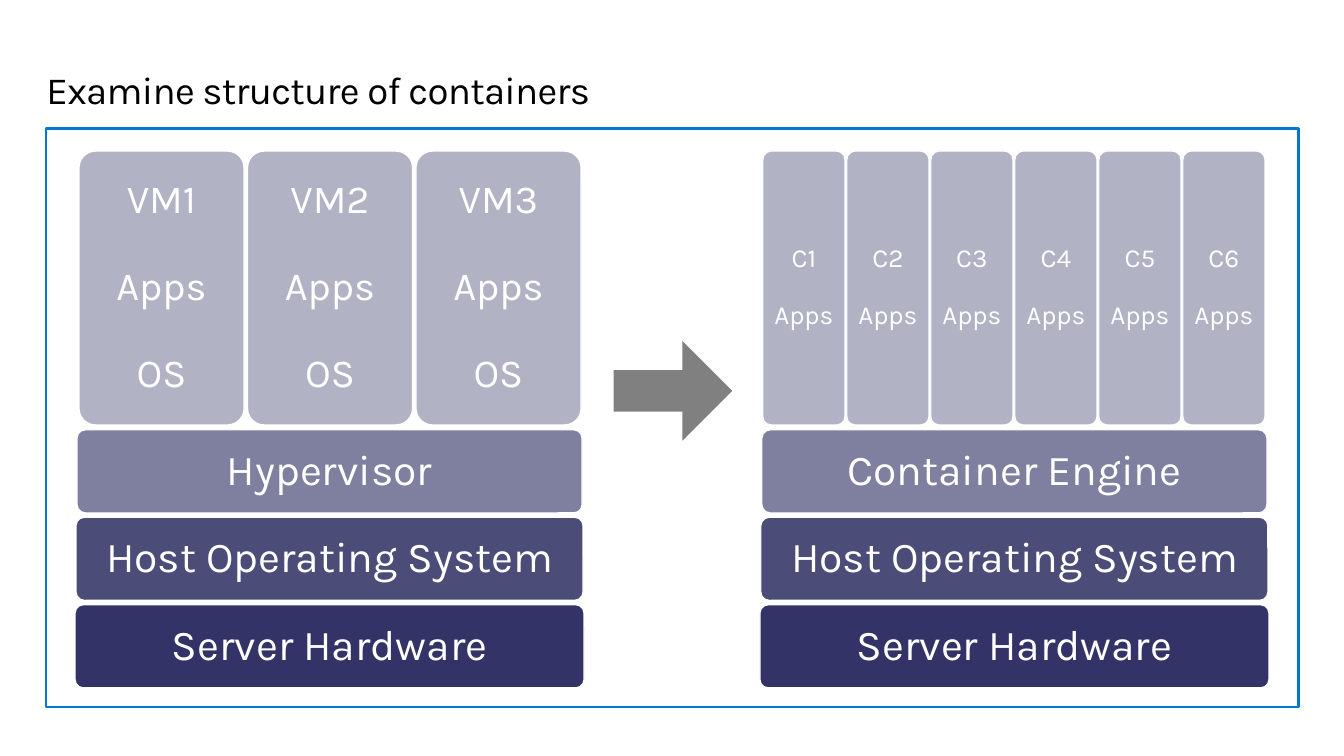
from lxml.etree import SubElement
from pptx import Presentation
from pptx.dml.color import RGBColor
from pptx.enum.shapes import MSO_SHAPE as Kind
from pptx.enum.text import MSO_ANCHOR as Anchor, PP_ALIGN as Align
from pptx.oxml.ns import qn
from pptx.util import Inches, Pt


def paint(fill, color, alpha=100):
    """Fill with a hex colour; alpha is the opacity in percent."""
    fill.solid()
    fill.fore_color.rgb = RGBColor.from_string(color)
    if alpha < 100:
        tint = next(fill._xPr.iter(qn("a:srgbClr")))
        SubElement(tint, qn("a:alpha"), val=str(alpha * 1000))


def write(shape, text, size, color="FFFFFF", align=Align.CENTER,
          anchor=Anchor.MIDDLE, inset=0.05, lead=0.9, gap=0, track=0):
    """Set one paragraph per line; gap is the space between them in points."""
    frame = shape.text_frame
    frame.word_wrap = True
    frame.vertical_anchor = anchor
    frame.margin_left = frame.margin_right = Inches(inset)
    frame.margin_top = frame.margin_bottom = Inches(inset)
    frame.text = text
    for i, par in enumerate(frame.paragraphs):
        par.alignment = align
        par.line_spacing = lead
        par.space_before = Pt(gap if i else 0)
        run = par.runs[0]
        run.font.size = Pt(size)
        run.font.name = "Karla"
        paint(run.font.fill, color)
        if track:
            run._r.get_or_add_rPr().set("spc", str(track))


deck = Presentation()
deck.slide_width, deck.slide_height = Inches(13.6), Inches(7.65)
slide = deck.slides.add_slide(deck.slide_layouts[5])

title = slide.shapes.title
title.left, title.top = Inches(0.47), Inches(0.69)
title.width, title.height = Inches(12.65), Inches(0.45)
write(title, "Examine structure of containers", 28, color="000000",
      align=Align.LEFT, anchor=Anchor.TOP, inset=0, lead=Pt(32), track=-50)

frame = slide.shapes.add_shape(
    Kind.RECTANGLE, Inches(0.47), Inches(1.3), Inches(12.67), Inches(5.85))
frame.shadow.inherit = False
frame.fill.background()
paint(frame.line.fill, "0078D3")
frame.line.width = Pt(1.5)

arrow = slide.shapes.add_shape(
    Kind.RIGHT_ARROW, Inches(6.21), Inches(3.45), Inches(1.2), Inches(1.01))
arrow.shadow.inherit = False
arrow.adjustments[0] = 0.417
paint(arrow.fill, "808080")
arrow.line.fill.background()

# left edge, engine, tile names, tile lines, tile offset, pitch, width, size
stacks = [
    (0.76, "Hypervisor", ["VM1", "VM2", "VM3"], ["Apps", "OS"],
     0.04, 1.705, 1.67, 29),
    (7.69, "Container Engine", ["C1", "C2", "C3", "C4", "C5", "C6"], ["Apps"],
     0.03, 0.85, 0.83, 19),
]
for left, engine, names, lines, shift, pitch, width, size in stacks:
    boxes = []
    layers = [("Server Hardware", 80), ("Host Operating System", 70),
              (engine, 50)]
    for i, (text, alpha) in enumerate(layers):
        boxes.append((left + 0.01 * i, 6.12 - 0.885 * i, 5.15 - 0.02 * i, 0.84,
                      text, alpha, 31))
    for i, name in enumerate(names):
        boxes.append((left + shift + pitch * i, 1.53, width, 2.77,
                      "\n".join([name] + lines), 30, size))

    group = slide.shapes.add_group_shape()
    for x, y, w, h, text, alpha, points in boxes:
        box = group.shapes.add_shape(
            Kind.ROUNDED_RECTANGLE, Inches(x), Inches(y), Inches(w), Inches(h))
        box.shadow.inherit = False
        box.adjustments[0] = 0.1
        paint(box.fill, "000041", alpha)
        paint(box.line.fill, "FFFFFF")
        box.line.width = Pt(0.85)
        write(box, text, points, gap=round(points * 1.1))

deck.save("out.pptx")
